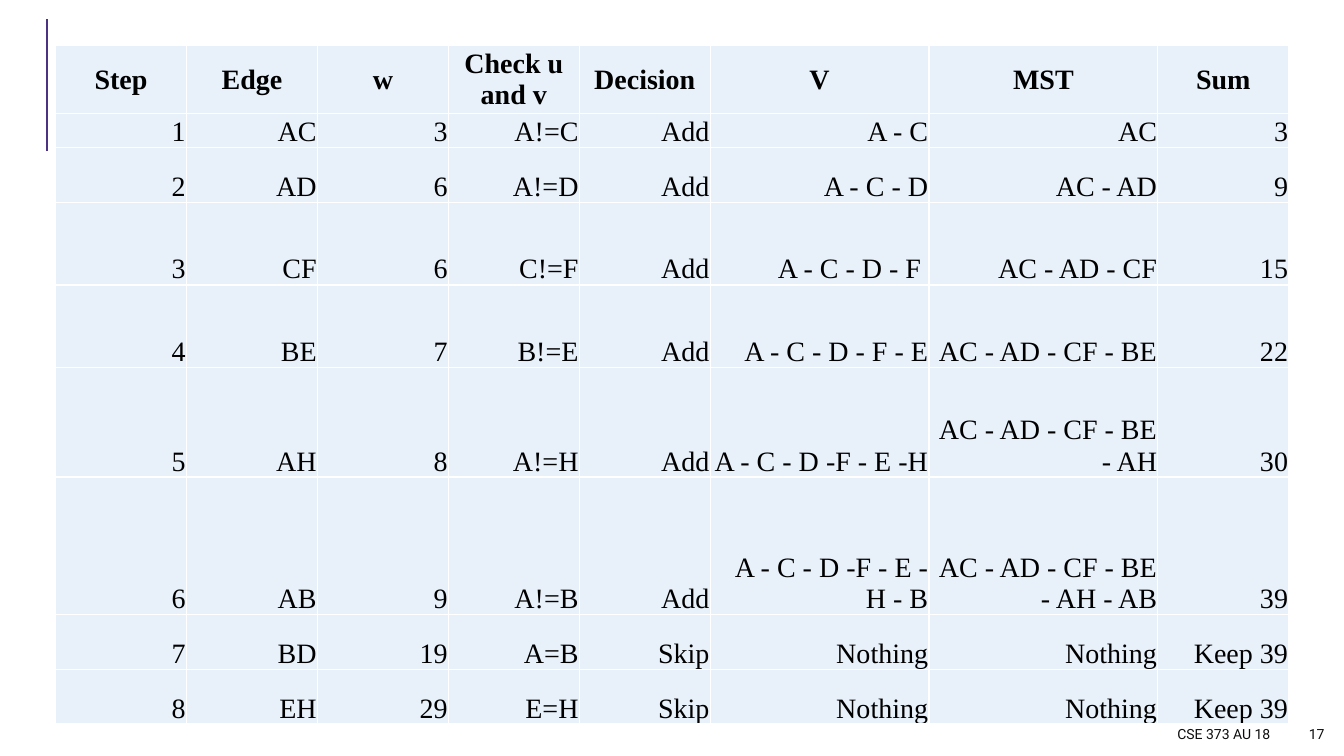
from lxml import etree
from pptx import Presentation
from pptx.dml import color
from pptx.enum import shapes, text
from pptx.oxml import ns
from pptx.util import Cm, Pt

HEADINGS = ["Step", "Edge", "w", "Check u and v", "Decision", "V", "MST", "Sum"]
STEPS = [
    ["1", "AC", "3", "A!=C", "Add", "A - C", "AC", "3"],
    ["2", "AD", "6", "A!=D", "Add", "A - C - D", "AC - AD", "9"],
    ["3", "CF", "6", "C!=F", "Add", "A - C - D - F ", "AC - AD - CF", "15"],
    ["4", "BE", "7", "B!=E", "Add", "A - C - D - F - E", "AC - AD - CF - BE", "22"],
    ["5", "AH", "8", "A!=H", "Add", "A - C - D -F - E -H", "AC - AD - CF - BE - AH", "30"],
    ["6", "AB", "9", "A!=B", "Add", "A - C - D -F - E - H - B",
     "AC - AD - CF - BE - AH - AB", "39"],
    ["7", "BD", "19", "A=B", "Skip", "Nothing", "Nothing", "Keep 39"],
    ["8", "EH", "29", "E=H", "Skip", "Nothing", "Nothing", "Keep 39"],
]
COLUMN_SHARES = [3.3, 3.3, 3.3, 3.3, 3.3, 5.51, 5.77, 3.3]
ROW_UNITS = [2, 1, 2, 3, 3, 4, 5, 2, 2]


def rgb(value):
    """Return the colour for a hex string."""
    return color.RGBColor.from_string(value)


def add_text(frame, words, font, size, shade, align, bold=False):
    """Write one formatted run into the first paragraph of a frame."""
    paragraph = frame.paragraphs[0]
    paragraph.alignment = align
    run = paragraph.add_run()
    run.text = words
    run.font.name = font
    run.font.size = Pt(size)
    run.font.bold = bold
    run.font.color.rgb = rgb(shade)


def add_borders(cell, shade, weight):
    """Draw a solid border on all four sides of a cell."""
    properties = cell._tc.get_or_add_tcPr()
    for side in ("lnL", "lnR", "lnT", "lnB"):
        line = etree.SubElement(properties, ns.qn(f"a:{side}"), w=str(Pt(weight)))
        fill = etree.SubElement(line, ns.qn("a:solidFill"))
        etree.SubElement(fill, ns.qn("a:srgbClr"), val=shade)


def fill_cell(cell, words, heading):
    """Write and format one table cell."""
    cell.margin_left = cell.margin_right = cell.margin_top = Cm(0.02)
    cell.margin_bottom = 0
    cell.vertical_anchor = text.MSO_ANCHOR.MIDDLE if heading else text.MSO_ANCHOR.BOTTOM
    add_borders(cell, "FFFFFF", 1)
    cell.fill.solid()
    cell.fill.fore_color.rgb = rgb("E8F1FA")
    align = text.PP_ALIGN.CENTER if heading else text.PP_ALIGN.RIGHT
    add_text(cell.text_frame, words, "Times New Roman", 20, "000000", align, heading)


def add_step_table(slide, left, top, width, height):
    """Build the table of algorithm steps inside the given box."""
    rows = [HEADINGS] + STEPS
    table = slide.shapes.add_table(
        len(rows), len(HEADINGS), Cm(left), Cm(top), Cm(width), Cm(height)).table
    table.horz_banding = False
    for column, share in zip(table.columns, COLUMN_SHARES):
        column.width = Cm(width * share / sum(COLUMN_SHARES))
    for row, units in zip(table.rows, ROW_UNITS):
        row.height = Cm(height * units / sum(ROW_UNITS))
    for row_index, values in enumerate(rows):
        for column_index, words in enumerate(values):
            fill_cell(table.cell(row_index, column_index), words, row_index == 0)


def add_accent_line(slide, left, top, height):
    """Draw the vertical accent line beside the table."""
    line = slide.shapes.add_connector(
        shapes.MSO_CONNECTOR.STRAIGHT, Cm(left), Cm(top + height), Cm(left), Cm(top))
    line.line.color.rgb = rgb("4C3282")
    line.line.width = Pt(1.5)
    etree.SubElement(line._element.spPr, ns.qn("a:effectLst"))


def add_footer(slide, left, top, width, height):
    """Place the course name and the page number at the ends of the given box."""
    number_width = 1.17
    number_left = left + width - number_width
    parts = [("CSE 373 AU 18", left, 16.38), ("17", number_left, number_width)]
    for words, part_left, part_width in parts:
        box = slide.shapes.add_textbox(Cm(part_left), Cm(top), Cm(part_width), Cm(height))
        box.text_frame.word_wrap = True
        box.text_frame.vertical_anchor = text.MSO_ANCHOR.MIDDLE
        add_text(box.text_frame, words, "Roboto", 10, "0D0D0D", text.PP_ALIGN.RIGHT)


def main():
    """Create the slide and save it."""
    presentation = Presentation()
    presentation.slide_width = Cm(33.87)
    presentation.slide_height = Cm(19.05)
    slide = presentation.slides.add_slide(presentation.slide_layouts[6])
    add_accent_line(slide, 1.19, 0.48, 3.33)
    add_footer(slide, 15.88, 18.11, 17.75, 0.76)
    add_step_table(slide, 1.4, 1.14, 31.08, 16.6)
    presentation.save("out.pptx")


if __name__ == "__main__":
    main()
